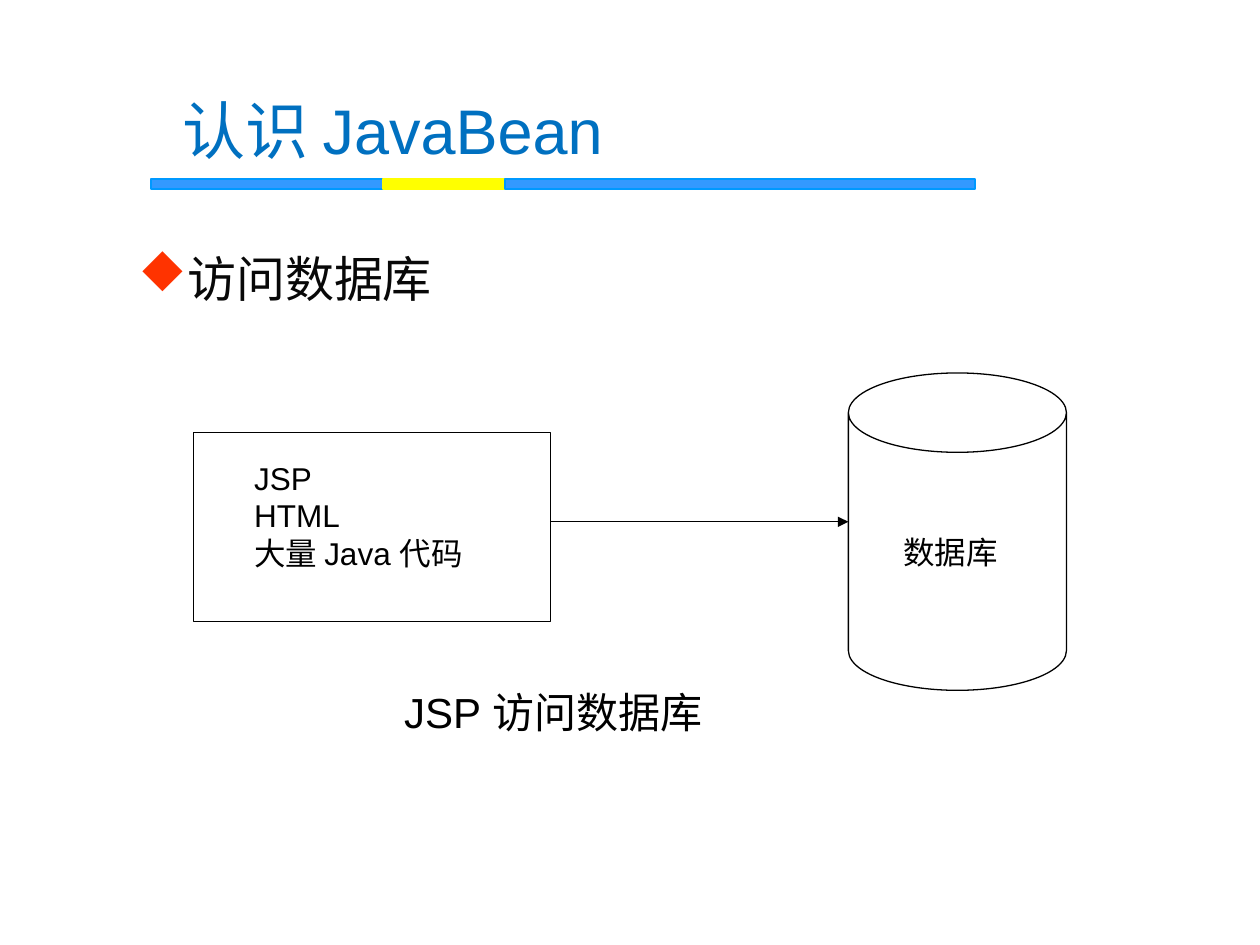
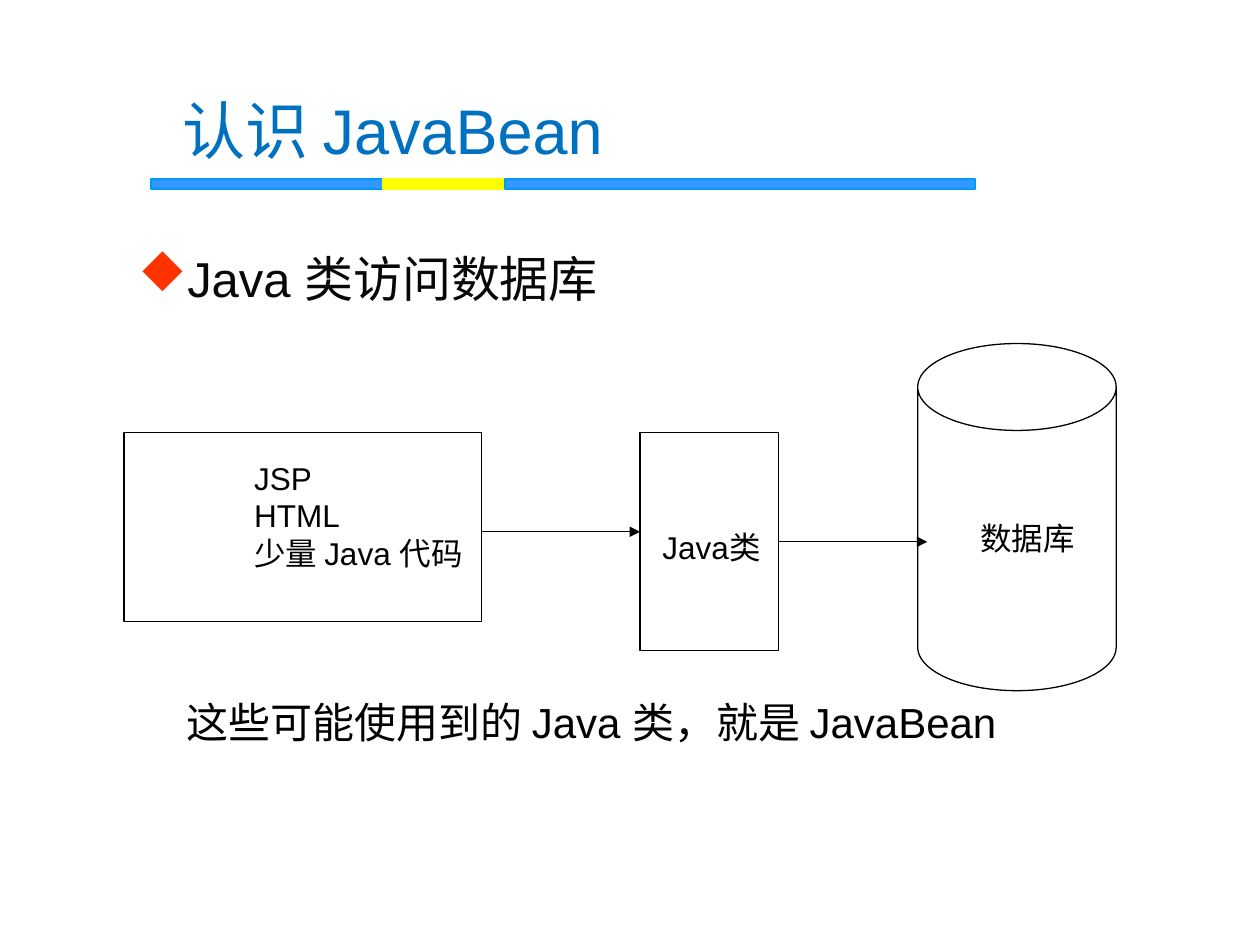
from dataclasses import dataclass
from lxml.etree import SubElement
from pptx import Presentation
from pptx.dml.color import RGBColor
from pptx.enum.shapes import MSO_CONNECTOR, MSO_SHAPE
from pptx.enum.text import MSO_ANCHOR
from pptx.oxml.ns import qn
from pptx.util import Pt


@dataclass(frozen=True)
class Theme:
    font: str = "Arial"
    symbol: str = "Wingdings"
    title: str = "0070C0"
    body: str = "080808"
    ink: str = "000000"
    bullet: str = "FF3300"
    blue: str = "3399FF"
    edge: str = "0099FF"
    gold: str = "FFFF00"
    head: int = 36
    point: int = 28
    note: int = 24
    label: int = 18
    thin: float = 0.75


theme = Theme()


def write(slide, text, at, size=theme.label, color=theme.ink,
          anchor=MSO_ANCHOR.MIDDLE, bullet=None):
    frame = slide.shapes.add_textbox(*map(Pt, at)).text_frame
    frame.word_wrap = True
    frame.vertical_anchor = anchor
    frame.text = text
    for para in frame.paragraphs:
        para.font.name = theme.font
        para.font.size = Pt(size)
        para.font.color.rgb = RGBColor.from_string(color)
        if bullet:
            para.line_spacing = 1.2
            para.space_before = Pt(size * 0.2)
            props = para._p.get_or_add_pPr()
            props.set("marL", str(Pt(27)))
            props.set("indent", str(Pt(-27)))
            for old in props.findall(qn("a:defRPr")):
                props.remove(old)
                props.append(old)
            tail = props.find(qn("a:defRPr"))
            tint = SubElement(props, qn("a:buClr"))
            SubElement(tint, qn("a:srgbClr"), val=theme.bullet)
            SubElement(props, qn("a:buFont"), typeface=theme.symbol,
                       pitchFamily="2", charset="2")
            SubElement(props, qn("a:buChar"), char=bullet)
            if tail is not None:
                props.append(tail)


def draw(slide, kind, at, fill=None, line=theme.ink, width=theme.thin):
    shape = slide.shapes.add_shape(kind, *map(Pt, at))
    shape.shadow.inherit = False
    if fill:
        shape.fill.solid()
        shape.fill.fore_color.rgb = RGBColor.from_string(fill)
    else:
        shape.fill.background()
    shape.line.color.rgb = RGBColor.from_string(line)
    shape.line.width = Pt(width)
    return shape


bands = [
    (132.5, theme.blue, theme.edge),
    (69.8, theme.gold, theme.gold),
    (268.5, theme.blue, theme.edge),
]
pages = [
    {
        "point": "访问数据库",
        "boxes": [(110.6, 247, 204.2, 108)],
        "can": ((484.8, 213.1, 124.6, 181.4), 0.364),
        "arrows": [(314.8, 484.8, 298.2)],
        "labels": [
            ("JSP\nHTML\n大量 Java 代码", (138.2, 258.5, 159.1, 72)),
            ("数据库", (509, 301, 72, 28.8)),
        ],
        "note": ("JSP 访问数据库", (223.9, 388.8, 285.8, 36)),
    },
    {
        "point": "Java 类访问数据库",
        "boxes": [(70.8, 247, 204.2, 108), (365.8, 247, 79.2, 124.8)],
        "can": ((524.4, 196.3, 113.4, 198.4), 0.438),
        "arrows": [(275, 365.8, 303.9), (445, 529.9, 309.6)],
        "labels": [
            ("JSP\nHTML\n少量 Java 代码", (138.2, 258.5, 159.1, 72)),
            ("数据库", (553, 293, 72, 28.8)),
            ("Java类", (371.5, 298.1, 81.4, 28.8)),
        ],
        "note": ("这些可能使用到的 Java 类，就是 JavaBean",
                 (99.4, 394.6, 517, 36)),
    },
]

deck = Presentation()
deck.slide_width = Pt(720)
deck.slide_height = Pt(540)

for page in pages:
    slide = deck.slides.add_slide(deck.slide_layouts[6])
    left = 86.4
    for wide, fill, edge in bands:
        draw(slide, MSO_SHAPE.RECTANGLE, (left, 102.2, wide, 5.8),
             fill, edge, 1)
        left += wide
    write(slide, "认识 JavaBean", (97.2, 46.8, 360, 54),
          size=theme.head, color=theme.title)
    write(slide, page["point"], (72, 131.8, 601.2, 374.4),
          size=theme.point, color=theme.body,
          anchor=MSO_ANCHOR.TOP, bullet="u")

    for at in page["boxes"]:
        draw(slide, MSO_SHAPE.RECTANGLE, at)
    at, curve = page["can"]
    draw(slide, MSO_SHAPE.CAN, at).adjustments[0] = curve

    for start, end, y in page["arrows"]:
        arrow = slide.shapes.add_connector(
            MSO_CONNECTOR.STRAIGHT, Pt(start), Pt(y), Pt(end), Pt(y))
        arrow.line.color.rgb = RGBColor.from_string(theme.ink)
        arrow.line.width = Pt(theme.thin)
        SubElement(arrow.line._get_or_add_ln(), qn("a:tailEnd"),
                   type="triangle")
        SubElement(arrow._element.spPr, qn("a:effectLst"))

    for text, at in page["labels"]:
        write(slide, text, at)
    text, at = page["note"]
    write(slide, text, at, size=theme.note)

deck.save("out.pptx")
